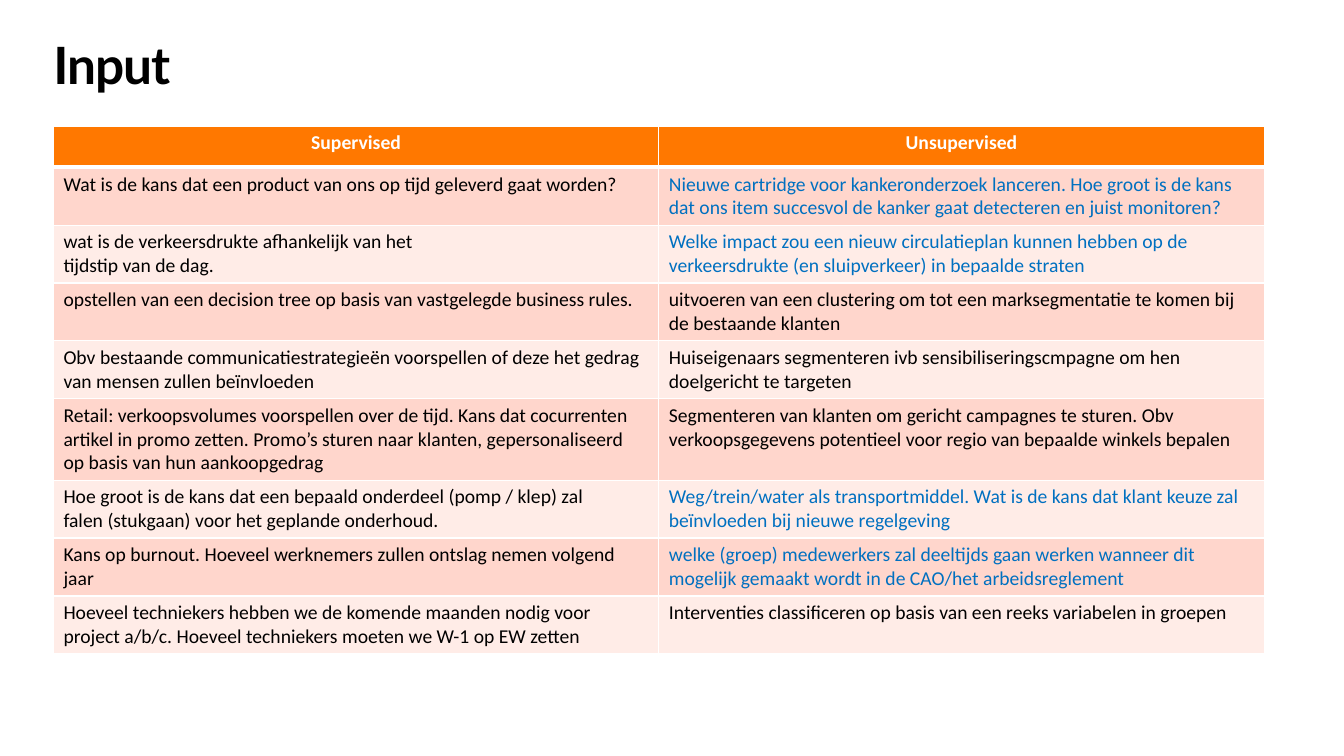
from lxml import etree
from pptx import Presentation
from pptx.dml.color import RGBColor
from pptx.enum.text import MSO_ANCHOR, MSO_AUTO_SIZE, PP_ALIGN
from pptx.oxml.ns import qn
from pptx.util import Inches, Pt

BOTTOM = MSO_ANCHOR.BOTTOM
NO_AUTOFIT = MSO_AUTO_SIZE.NONE
LEFT, CENTER = PP_ALIGN.LEFT, PP_ALIGN.CENTER

THEME = {
    "title_font": "Lato", "body_font": "Calibri",
    "title_size": Pt(36.7), "body_size": Pt(14),
    "black": "000000", "white": "FFFFFF", "blue": "0070C0",
    "header": "FF7800", "bands": ["FFD6CC", "FFECE7"],
}

HEADINGS = ("Supervised", "Unsupervised")
EXAMPLES = [
    ("Wat is de kans dat een product van ons op tijd geleverd gaat worden?",
     "Nieuwe cartridge voor kankeronderzoek lanceren. Hoe groot is de kans dat ons item "
     "succesvol de kanker gaat detecteren en juist monitoren?", "blue"),
    ("wat is de verkeersdrukte afhankelijk van het\vtijdstip van de dag.",
     "Welke impact zou een nieuw circulatieplan kunnen hebben op de verkeersdrukte "
     "(en sluipverkeer) in bepaalde straten", "blue"),
    ("opstellen van een decision tree op basis van vastgelegde business rules.",
     "uitvoeren van een clustering om tot een marksegmentatie te komen bij de bestaande klanten",
     "black"),
    ("Obv bestaande communicatiestrategieën voorspellen of deze het gedrag van mensen "
     "zullen beïnvloeden",
     "Huiseigenaars segmenteren ivb sensibiliseringscmpagne om hen doelgericht te targeten",
     "black"),
    ("Retail: verkoopsvolumes voorspellen over de tijd. Kans dat cocurrenten artikel in promo "
     "zetten. Promo’s sturen naar klanten, gepersonaliseerd op basis van hun aankoopgedrag",
     "Segmenteren van klanten om gericht campagnes te sturen. Obv verkoopsgegevens potentieel "
     "voor regio van bepaalde winkels bepalen", "black"),
    ("Hoe groot is de kans dat een bepaald onderdeel (pomp / klep) zal\n"
     "falen (stukgaan) voor het geplande onderhoud.",
     "Weg/trein/water als transportmiddel. Wat is de kans dat klant keuze zal beïnvloeden "
     "bij nieuwe regelgeving", "blue"),
    ("Kans op burnout. Hoeveel werknemers zullen ontslag nemen volgend jaar",
     "welke (groep) medewerkers zal deeltijds gaan werken wanneer dit mogelijk gemaakt wordt "
     "in de CAO/het arbeidsreglement", "blue"),
    ("Hoeveel techniekers hebben we de komende maanden nodig voor project a/b/c. "
     "Hoeveel techniekers moeten we W-1 op EW zetten",
     "Interventies classificeren op basis van een reeks variabelen in groepen", "black"),
]


def format_font(font, color, **values):
    for name, value in values.items():
        setattr(font, name, value)
    font.color.rgb = RGBColor.from_string(THEME[color])


def add_borders(cell, widths):
    properties = cell._tc.get_or_add_tcPr()
    for side, width in widths.items():
        line = etree.SubElement(properties, qn(f"a:ln{side}"), w=str(Pt(width)))
        fill = etree.SubElement(line, qn("a:solidFill"))
        etree.SubElement(fill, qn("a:srgbClr"), val=THEME["white"])


presentation = Presentation()
presentation.slide_width = Inches(13.33)
presentation.slide_height = Inches(7.5)
slide = presentation.slides.add_slide(presentation.slide_layouts[5])

title = slide.shapes.title
title.left, title.top = Inches(0.53), Inches(-0.82)
title.width, title.height = Inches(12.01), Inches(1.77)
title_format = {
    "margin_left": 0, "margin_top": 0, "margin_right": 0, "margin_bottom": 0,
    "vertical_anchor": BOTTOM, "auto_size": NO_AUTOFIT, "word_wrap": True,
}
for name, value in title_format.items():
    setattr(title.text_frame, name, value)
title.text_frame.text = "Input"
heading = title.text_frame.paragraphs[0]
heading.alignment = LEFT
heading.line_spacing = 0.9
run = heading.runs[0]
format_font(run.font, "black", name=THEME["title_font"], size=THEME["title_size"], bold=True)
run.font._element.set("spc", "-80")

row_height = Inches(0.41)
row_count = len(EXAMPLES) + 1
table = slide.shapes.add_table(
    row_count, len(HEADINGS), Inches(0.53), Inches(1.25), Inches(12.01), row_height * row_count
).table
for row in table.rows:
    row.height = row_height

rows = [(*HEADINGS, "white")] + EXAMPLES
for row_index, (supervised, unsupervised, right_color) in enumerate(rows):
    is_header = row_index == 0
    left_color = "white" if is_header else "black"
    fill_color = THEME["header"] if is_header else THEME["bands"][(row_index - 1) % 2]
    widths = {"L": 1, "R": 1, "T": 3 if row_index == 1 else 1, "B": 3 if is_header else 1}
    entries = [(supervised, left_color), (unsupervised, right_color)]
    for column_index, (text, color) in enumerate(entries):
        cell = table.cell(row_index, column_index)
        add_borders(cell, widths)
        cell.fill.solid()
        cell.fill.fore_color.rgb = RGBColor.from_string(fill_color)
        cell.text = text
        for paragraph in cell.text_frame.paragraphs:
            paragraph.alignment = CENTER if is_header else LEFT
            for run in paragraph.runs:
                format_font(run.font, color, name=THEME["body_font"],
                            size=THEME["body_size"], bold=is_header)

presentation.save("out.pptx")
